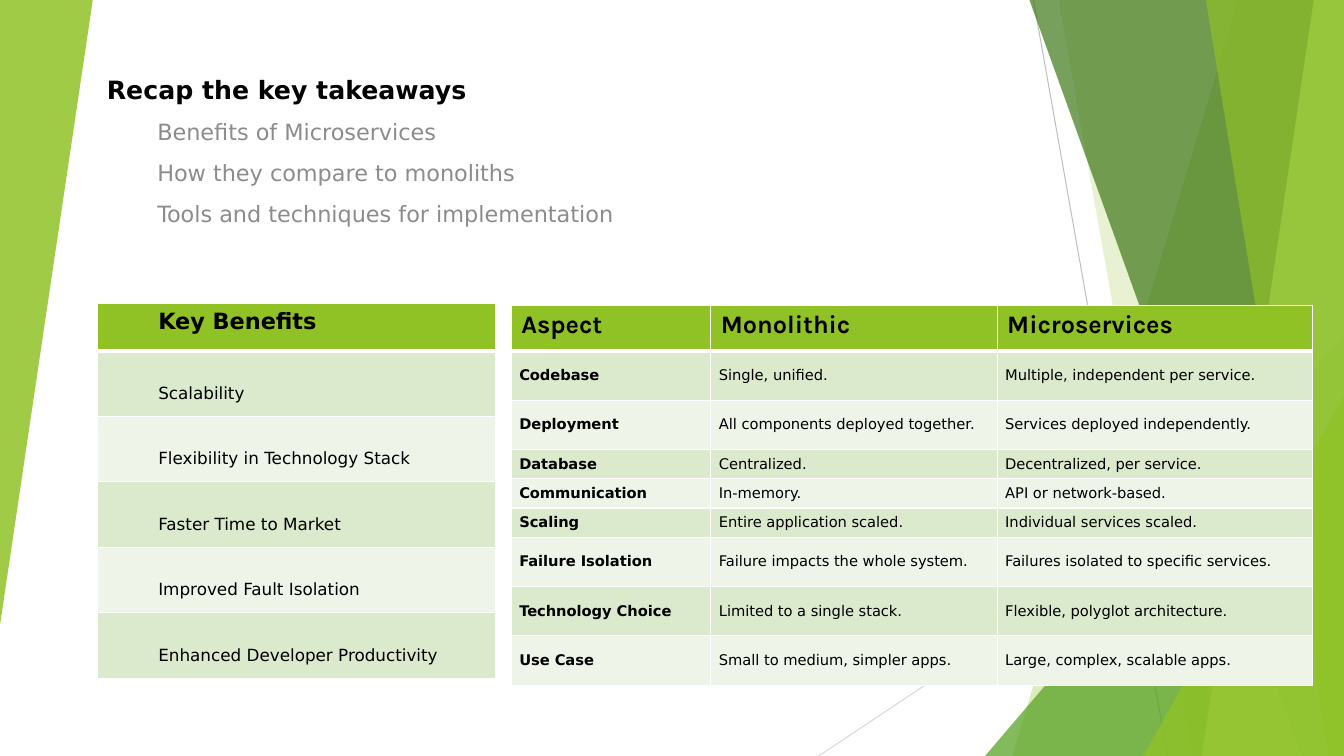
"""Build the recap slide with a benefits table and an architecture comparison."""
from lxml.etree import SubElement
from pptx import Presentation
from pptx.dml.color import RGBColor
from pptx.enum.shapes import MSO_CONNECTOR, MSO_SHAPE
from pptx.enum.text import MSO_ANCHOR, MSO_AUTO_SIZE, PP_ALIGN
from pptx.oxml.ns import qn
from pptx.util import Inches, Pt

WIDTH, HEIGHT = 13.33, 7.5
BODY_FONT, HEADER_FONT = "DejaVu Sans", "Karla"
BLACK, GRAY, WHITE, GREEN = "000000", "8C8C8C", "FFFFFF", "90C226"
BANDS = ["DBE9CD", "EEF4E8"]

HEADING = "Recap the key takeaways"
TAKEAWAYS = [
    "Benefits of Microservices",
    "How they compare to monoliths",
    "Tools and techniques for implementation",
]
BENEFITS = [
    ["Key Benefits"],
    ["Scalability"],
    ["Flexibility in Technology Stack"],
    ["Faster Time to Market"],
    ["Improved Fault Isolation"],
    ["Enhanced Developer Productivity"],
]
COMPARISON = [
    ["Aspect", "Monolithic", "Microservices"],
    ["Codebase", "Single, unified.", "Multiple, independent per service."],
    ["Deployment", "All components deployed together.", "Services deployed independently."],
    ["Database", "Centralized.", "Decentralized, per service."],
    ["Communication", "In-memory.", "API or network-based."],
    ["Scaling", "Entire application scaled.", "Individual services scaled."],
    ["Failure Isolation", "Failure impacts the whole system.", "Failures isolated to specific services."],
    ["Technology Choice", "Limited to a single stack.", "Flexible, polyglot architecture."],
    ["Use Case", "Small to medium, simpler apps.", "Large, complex, scalable apps."],
]
TALL, SHORT = 0.49, 0.29
COMPARISON_HEIGHTS = [0.45, TALL, TALL, SHORT, SHORT, SHORT, TALL, TALL, TALL]

RAYS = [
    ((10.25, 0), (11.58, HEIGHT), "BFBFBF"),
    ((WIDTH, 4.03), (8.12, HEIGHT), "D9D9D9"),
]
# Facets: ("band", top x, bottom x) or ("triangle", left, top, width, height, rotation), colour, opacity
FACETS = [
    (("band", 12.28, 10.04), GREEN, 30),
    (("band", 10.5, 11.83), GREEN, 20),
    (("triangle", 9.77, 3.33, 3.56, 4.17, 0), "54A021", 72),
    (("band", 10.21, 12.91), "3F7819", 70),
    (("band", 13.03, 11.92), "C0E474", 70),
    (("band", 11.96, 13.18), GREEN, 65),
    (("triangle", 11.34, 3.93, 1.99, 3.57, 0), GREEN, 80),
    (("triangle", 0, 0, 0.92, 6.2, 180), GREEN, 85),
]


def color(value):
    return RGBColor.from_string(value)


def format_paragraph(paragraph, size, value, bold, font=BODY_FONT, indent=0):
    properties = paragraph._p.get_or_add_pPr()
    properties.set("marL", str(Inches(indent)))
    properties.set("indent", "0")
    paragraph.alignment = PP_ALIGN.LEFT
    for run in paragraph.runs:
        run.font.name, run.font.size, run.font.bold = font, Pt(size), bold
        run.font.color.rgb = color(value)


def add_ray(slide, start, end, value):
    points = [Inches(length) for length in start + end]
    ray = slide.shapes.add_connector(MSO_CONNECTOR.STRAIGHT, *points)
    ray.line.color.rgb = color(value)
    ray.line.width = Pt(0.75)
    SubElement(ray._element.spPr, qn("a:effectLst"))


def add_facet(slide, geometry, value, opacity):
    kind, *numbers = geometry
    if kind == "band":
        top, bottom = numbers
        corners = [(WIDTH, 0), (WIDTH, HEIGHT), (bottom, HEIGHT)]
        builder = slide.shapes.build_freeform(Inches(top), 0)
        builder.add_line_segments([(Inches(x), Inches(y)) for x, y in corners])
        shape = builder.convert_to_shape()
    else:
        *box, rotation = numbers
        shape = slide.shapes.add_shape(
            MSO_SHAPE.ISOSCELES_TRIANGLE, *[Inches(length) for length in box])
        shape.adjustments[0] = 1
        shape.rotation = rotation
    shape.shadow.inherit = False
    shape.line.fill.background()
    shape.fill.solid()
    shape.fill.fore_color.rgb = color(value)
    fill_color = shape._element.spPr.find(qn("a:solidFill"))[0]
    SubElement(fill_color, qn("a:alpha"), val=str(opacity * 1000))


def add_borders(cell, row):
    properties = cell._tc.get_or_add_tcPr()
    widths = {"lnL": 1, "lnR": 1, "lnT": 3 if row == 1 else 1, "lnB": 3 if row == 0 else 1}
    for side, width in widths.items():
        border = SubElement(properties, qn(f"a:{side}"), w=str(Pt(width)))
        SubElement(SubElement(border, qn("a:solidFill")), qn("a:srgbClr"), val=WHITE)


def add_table(slide, rows, left, top, widths, heights, style_cell):
    frame = slide.shapes.add_table(
        len(rows), len(widths), Inches(left), Inches(top),
        Inches(sum(widths)), Inches(sum(heights)))
    table = frame.table
    for column, width in zip(table.columns, widths):
        column.width = Inches(width)
    for row, (texts, height) in enumerate(zip(rows, heights)):
        table.rows[row].height = Inches(height)
        for column, text in enumerate(texts):
            cell = table.cell(row, column)
            add_borders(cell, row)
            cell.fill.solid()
            cell.fill.fore_color.rgb = color(BANDS[(row - 1) % 2] if row else GREEN)
            cell.vertical_anchor = MSO_ANCHOR.MIDDLE if row else MSO_ANCHOR.TOP
            cell.text_frame.text = text
            style_cell(cell, row, column)


def style_benefit(cell, row, column):
    paragraph = cell.text_frame.paragraphs[0]
    format_paragraph(paragraph, 12 if row else 16, BLACK, row == 0, indent=0.5)
    if row:
        paragraph.line_spacing = 2.0


def style_comparison(cell, row, column):
    paragraph = cell.text_frame.paragraphs[0]
    if row == 0:
        format_paragraph(paragraph, 18, BLACK, True, HEADER_FONT)
        return
    format_paragraph(paragraph, 10.5, BLACK, column == 0)
    cell.margin_left = cell.margin_right = Inches(0.08)
    cell.margin_top = cell.margin_bottom = Inches(0.04)


def fill_title(title):
    title.left, title.top = Inches(0.96), Inches(0.35)
    title.width, title.height = Inches(9.3), Inches(2.29)
    frame = title.text_frame
    frame.text = "\n".join([HEADING] + TAKEAWAYS)
    frame.word_wrap = True
    frame.auto_size = MSO_AUTO_SIZE.NONE
    frame.vertical_anchor = MSO_ANCHOR.MIDDLE
    for index, paragraph in enumerate(frame.paragraphs):
        paragraph.space_before = Pt(10)
        if index == 0:
            format_paragraph(paragraph, 18, BLACK, True)
        else:
            format_paragraph(paragraph, 16, GRAY, False, indent=0.5)


def main():
    presentation = Presentation()
    presentation.slide_width, presentation.slide_height = Inches(WIDTH), Inches(HEIGHT)
    slide = presentation.slides.add_slide(presentation.slide_layouts[5])
    for ray in RAYS:
        add_ray(slide, *ray)
    for facet in FACETS:
        add_facet(slide, *facet)
    fill_title(slide.shapes.title)
    add_table(slide, BENEFITS, 0.97, 3.01, [3.95], [0.47] + [0.65] * 5, style_benefit)
    add_table(slide, COMPARISON, 5.07, 3.03, [1.98, 2.84, 3.13],
              COMPARISON_HEIGHTS, style_comparison)
    presentation.save("out.pptx")


if __name__ == "__main__":
    main()
